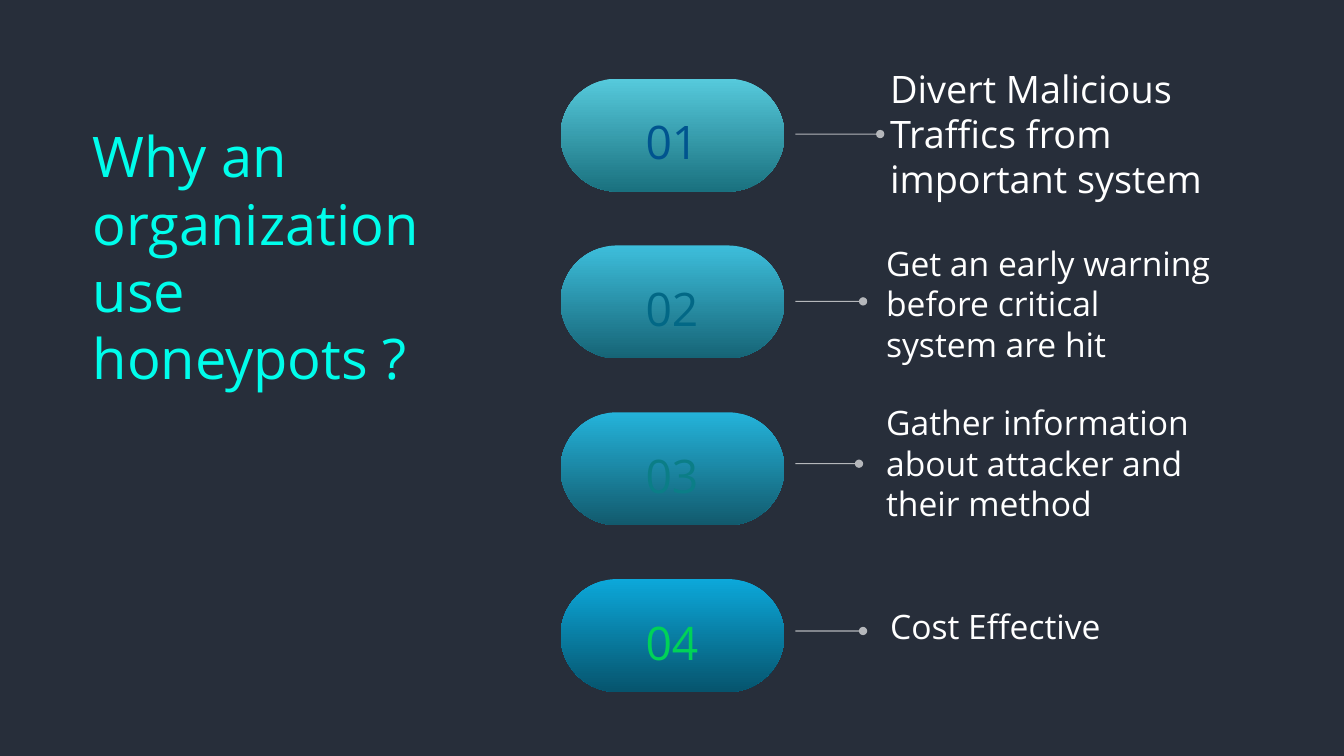
from collections import namedtuple

from lxml import etree
from pptx import Presentation
from pptx.dml.color import RGBColor
from pptx.enum.shapes import MSO_CONNECTOR, MSO_SHAPE
from pptx.enum.text import MSO_ANCHOR, MSO_AUTO_SIZE, PP_ALIGN
from pptx.oxml.ns import qn
from pptx.util import Inches, Pt

STRAIGHT = MSO_CONNECTOR.STRAIGHT
PILL = MSO_SHAPE.ROUNDED_RECTANGLE
TOP, MIDDLE = MSO_ANCHOR.TOP, MSO_ANCHOR.MIDDLE
LEFT, CENTER = PP_ALIGN.LEFT, PP_ALIGN.CENTER
NO_FIT = MSO_AUTO_SIZE.NONE

NAVY = RGBColor(0x27, 0x2E, 0x3A)
WHITE = RGBColor(0xFF, 0xFF, 0xFF)
AQUA = RGBColor(0x00, 0xFD, 0xEB)
FONT = "Open Sans"
LINE_RATIO = 1.2

FIRST_ROW, ROW_PITCH = 0.78, 1.655
PILL_LEFT, PILL_WIDTH, PILL_HEIGHT = 5.56, 2.22, 1.12
NUMBER_LEFT, NUMBER_DROP, NUMBER_WIDTH, NUMBER_HEIGHT = 6.3, 0.29, 0.73, 0.66
LINK_LEFT = 7.89

Reason = namedtuple(
    "Reason", "text size caption anchor link_end link_y light dark number_color")
REASONS = [
    Reason("Divert Malicious Traffics from important system", 27,
           (8.73, 0.6, 3.39, 1.46), TOP, 8.73, 1.33,
           RGBColor(0x56, 0xCA, 0xDC), RGBColor(0x1A, 0x71, 0x7F),
           RGBColor(0x00, 0x54, 0x8F)),
    Reason("Get an early warning before critical system are hit", 24,
           (8.69, 2.36, 3.46, 1.31), TOP, 8.56, 2.99,
           RGBColor(0x3D, 0xBE, 0xDB), RGBColor(0x16, 0x64, 0x76),
           RGBColor(0x02, 0x68, 0x86)),
    Reason("Gather information about attacker and their method", 24,
           (8.69, 3.94, 3.65, 1.31), TOP, 8.52, 4.6,
           RGBColor(0x24, 0xB3, 0xDA), RGBColor(0x12, 0x5A, 0x6D),
           RGBColor(0x0B, 0x7E, 0x87)),
    Reason("Cost Effective", 24,
           (8.73, 5.96, 3.46, 0.5), MIDDLE, 8.56, 6.26,
           RGBColor(0x0C, 0xA8, 0xDA), RGBColor(0x06, 0x54, 0x6D),
           RGBColor(0x00, 0xD2, 0x58)),
]


def write(box, text, size, color, anchor=TOP, align=LEFT, wrap=True):
    """Put one formatted run of text into a box."""
    frame = box.text_frame
    frame.word_wrap = wrap
    frame.auto_size = NO_FIT
    frame.vertical_anchor = anchor
    para = frame.paragraphs[0]
    para.alignment = align
    para.line_spacing = Pt(size * LINE_RATIO)
    para.space_before = Pt(0)
    span = para.add_run()
    span.text = text
    span.font.name = FONT
    span.font.size = Pt(size)
    span.font.color.rgb = color


def add_title(page, text):
    """Move and fill the title placeholder."""
    title = page.shapes.title
    title.left, title.top = Inches(0.82), Inches(1.16)
    title.width, title.height = Inches(3.79), Inches(2.79)
    write(title, text, 40, AQUA)


def add_label(page, place, *args, **options):
    """Add a text box at left, top, width and height in inches."""
    box = page.shapes.add_textbox(*map(Inches, place))
    write(box, *args, **options)


def add_pill(page, top, light, dark):
    """Add a fully rounded pill that darkens downwards."""
    pill = page.shapes.add_shape(
        PILL, *map(Inches, (PILL_LEFT, top, PILL_WIDTH, PILL_HEIGHT)))
    pill.adjustments[0] = 0.5
    pill.shadow.inherit = False
    pill.line.fill.background()
    pill.fill.gradient()
    pill.fill.gradient_angle = 270
    for stop, color in zip(pill.fill.gradient_stops, (light, dark)):
        stop.color.rgb = color


def add_link(page, start, y):
    """Add a translucent line from a caption, dotted at its start, to a pill."""
    link = page.shapes.add_connector(
        STRAIGHT, *map(Inches, (start, y, LINK_LEFT, y)))
    link.line.width = Pt(0.75)
    link.line.color.rgb = WHITE
    properties = link._element.spPr
    outline = properties.find(qn("a:ln"))
    color = outline.find(".//" + qn("a:srgbClr"))
    etree.SubElement(color, qn("a:alpha"), val="65000")
    etree.SubElement(outline, qn("a:headEnd"), type="oval")
    etree.SubElement(properties, qn("a:effectLst"))


def add_reason(page, index, reason):
    """Add one numbered row: pill, number, link and caption."""
    top = FIRST_ROW + index * ROW_PITCH
    add_pill(page, top, reason.light, reason.dark)
    add_label(page, (NUMBER_LEFT, top + NUMBER_DROP, NUMBER_WIDTH, NUMBER_HEIGHT),
              f"{index + 1:02}", 33, reason.number_color,
              anchor=MIDDLE, align=CENTER, wrap=False)
    add_link(page, reason.link_end, reason.link_y)
    add_label(page, reason.caption, reason.text, reason.size, WHITE,
              anchor=reason.anchor)


def main():
    """Build and save the slide."""
    deck = Presentation()
    deck.slide_width, deck.slide_height = Inches(13.33), Inches(7.5)
    page = deck.slides.add_slide(deck.slide_layouts[5])
    page.background.fill.solid()
    page.background.fill.fore_color.rgb = NAVY
    add_title(page, "Why an organization use honeypots ?")
    for index, reason in enumerate(REASONS):
        add_reason(page, index, reason)
    deck.save("out.pptx")


if __name__ == "__main__":
    main()
